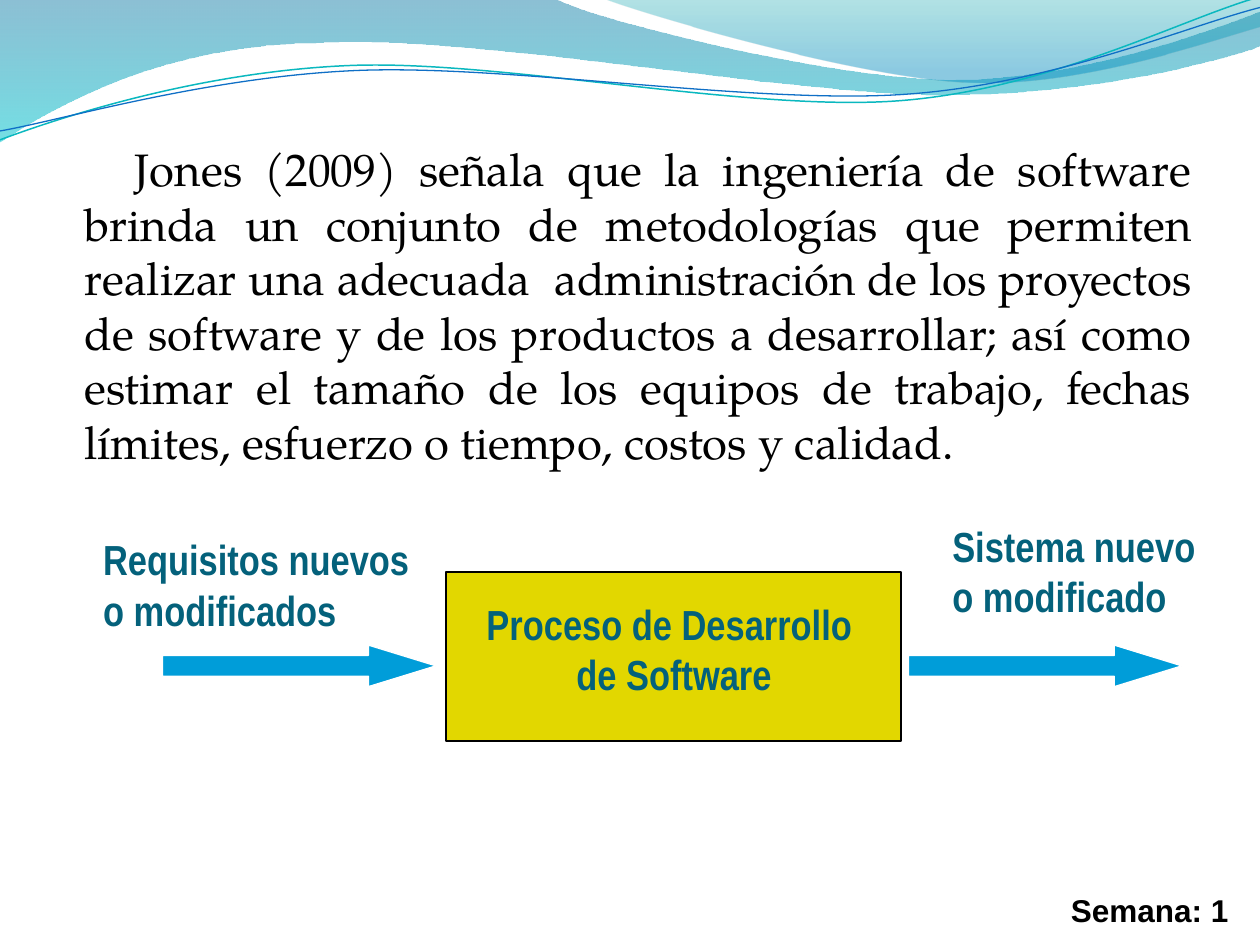
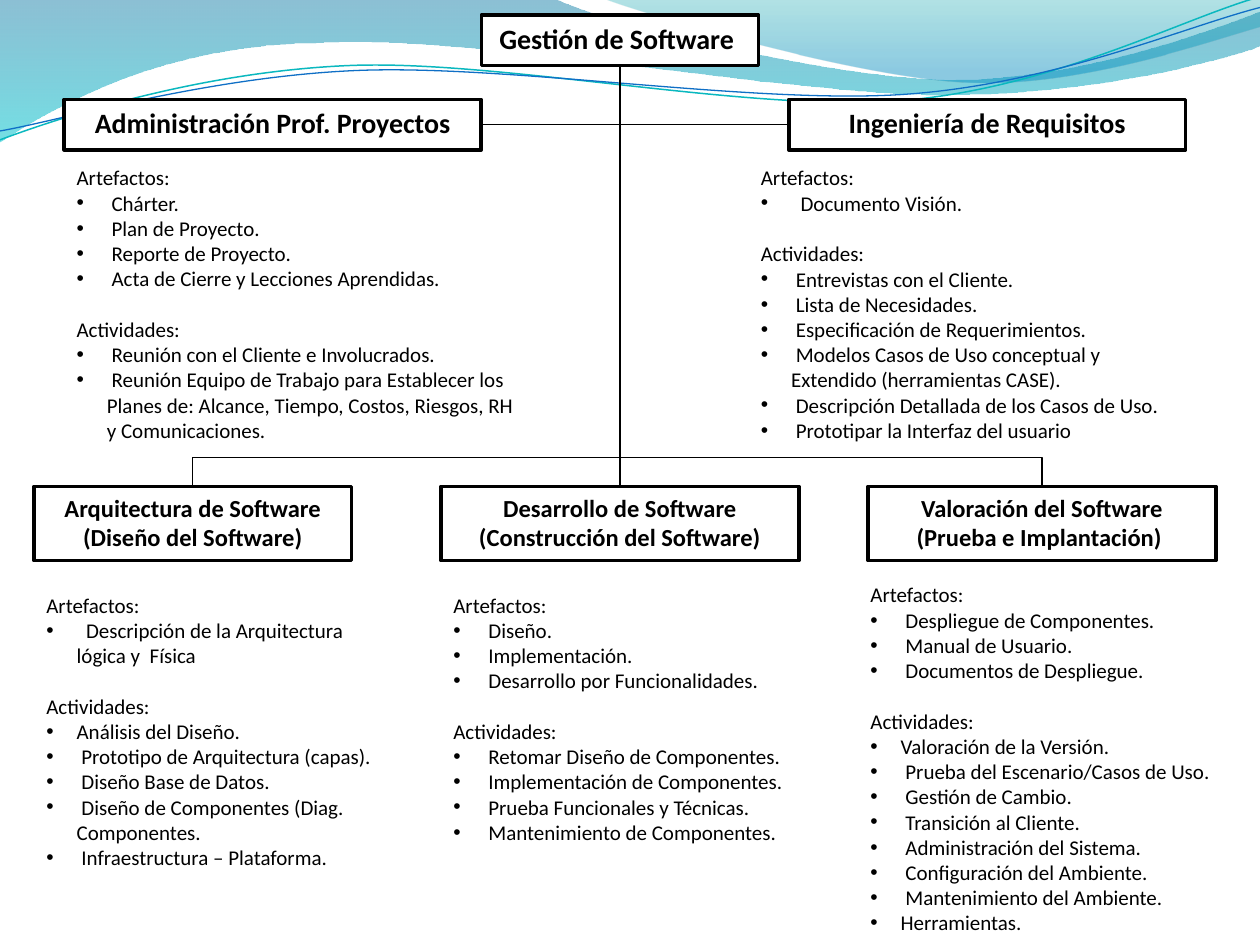
import math

import pptx
import pptx.util
import pptx.dml.color
import pptx.enum.shapes
import pptx.enum.text
import pptx.oxml.ns
from lxml import etree

Inches, Pt = pptx.util.Inches, pptx.util.Pt
RGB = pptx.dml.color.RGBColor
SHAPE = pptx.enum.shapes.MSO_SHAPE
CONNECTOR = pptx.enum.shapes.MSO_CONNECTOR
ALIGN = pptx.enum.text.PP_ALIGN
ANCHOR = pptx.enum.text.MSO_ANCHOR
NO_AUTOSIZE = pptx.enum.text.MSO_AUTO_SIZE.NONE
qn = pptx.oxml.ns.qn

BLACK, WHITE = RGB(0, 0, 0), RGB(255, 255, 255)
TEAL_TEXT = RGB(0x04, 0x61, 0x7B)
YELLOW = RGB(0xE2, 0xD7, 0x00)
ARROW_BLUE = RGB(0x00, 0x9D, 0xD9)
LINE_TEAL, LINE_BLUE = RGB(0x0A, 0xB8, 0xBF), RGB(0x0F, 0x6F, 0xC6)
WAVE_BLUE, WAVE_CYAN = RGB(0x00, 0x74, 0xA1), RGB(0x00, 0xC6, 0xCF)
CREST_GREEN, CREST_BLUE = RGB(0x00, 0xA1, 0xA9), RGB(0x00, 0x8B, 0xBF)

# Each wave: start point, then points (2 numbers) or Bézier curves (6 numbers).
# Bands have gradient stops (position, colour, opacity %).
BANDS = [
    ([(0, -0.01), (4.4, -0.01), (4.76, 0.17, 6.64, 0.63, 7.58, 0.63),
      (8.53, 0.63, 9.58, 0.26, 10, 0.09), (10.01, 0.36),
      (9.83, 0.44, 8.7, 0.76, 7.46, 0.75), (6.22, 0.75, 3.82, 0.28, 2.57, 0.34),
      (1.29, 0.35, 0.46, 0.83, -0.01, 1.13), (0, -0.01)],
     [(0, WAVE_BLUE, 45), (1, WAVE_CYAN, 55)]),
    ([(4.79, -0.01), (5.09, 0.11, 6.82, 0.62, 7.69, 0.65),
      (8.56, 0.69, 9.61, 0.32, 10, 0.21), (10, 0), (4.79, -0.01)],
     [(0, CREST_GREEN, 30), (0.8, CREST_BLUE, 45)]),
]
# Tilted lines: points as seen after the tilt, centre of the tilt, colour, width
TILT = -2.7
WAVE_LINES = [
    ([(0, 1.11), (0.48, 0.93, 1.58, 0.57, 2.77, 0.52),
      (3.95, 0.47, 5.93, 0.89, 7.13, 0.8), (8.33, 0.71, 9.38, 0.15, 9.98, -0.02)],
     (4.99, 0.58), LINE_TEAL, 0.85),
    ([(0, 1.04), (0.47, 0.96, 1.64, 0.61, 2.83, 0.56),
      (4.03, 0.51, 5.97, 0.83, 7.17, 0.75), (8.36, 0.67, 9.41, 0.21, 10, 0.06)],
     (5, 0.59), LINE_BLUE, 0.75),
]

QUOTE = ("Jones (2009) señala que la ingeniería de software brinda un conjunto de "
         "metodologías que permiten realizar una adecuada  administración de los proyectos "
         "de software y de los productos a desarrollar; así como estimar el tamaño de los "
         "equipos de trabajo, fechas límites, esfuerzo o tiempo, costos y calidad.")
WEEK = "Semana: 1"
PROCESS_BOX = (3.54, 4.54, 3.61, 1.34)
FLOW_LABELS = [
    ((0.72, 4.31, 2.64, 0.78), ALIGN.LEFT, ["Requisitos nuevos", "o modificados"]),
    ((7.46, 4.2, 2.13, 0.78), ALIGN.LEFT, ["Sistema nuevo", "o modificado"]),
    ((3.76, 4.82, 3.18, 0.78), ALIGN.CENTER, ["Proceso de Desarrollo ", "de Software"]),
]
ARROW_LEFTS = [1.29, 7.21]

ROOT = ("Gestión de Software ", (3.82, 0.12, 2.2, 0.4))
TOP_ROW = dict(top=0.79, height=0.4, size=16)
BOTTOM_ROW = dict(top=3.86, height=0.59, size=14)
BUS_RISE = 0.25
# Name, row, left and width of the box, list area, artefactos, actividades
AREAS = [
    ("Administración Prof. Proyectos", TOP_ROW, 0.51, 3.31, (0.51, 1.26, 3.74, 2.32),
     [" Chárter.", " Plan de Proyecto.", " Reporte de Proyecto.",
      " Acta de Cierre y Lecciones Aprendidas."],
     [" Reunión con el Cliente e Involucrados.",
      " Reunión Equipo de Trabajo para Establecer los Planes de: Alcance, Tiempo, "
      "Costos, Riesgos, RH y Comunicaciones."]),
    ("Ingeniería de Requisitos", TOP_ROW, 6.26, 3.15, (5.94, 1.26, 3.55, 2.3),
     ["  Documento Visión."],
     [" Entrevistas con el Cliente.", " Lista de Necesidades.",
      " Especificación de Requerimientos.",
      " Modelos Casos de Uso conceptual y Extendido (herramientas CASE).",
      " Descripción Detallada de los Casos de Uso.", " Prototipar la Interfaz del usuario"]),
    ("Arquitectura de Software (Diseño del Software)", BOTTOM_ROW, 0.27, 2.52,
     (0.27, 4.65, 2.84, 2.32),
     ["  Descripción de la Arquitectura  lógica y  Física"],
     ["Análisis del Diseño.", " Prototipo de Arquitectura (capas).", " Diseño Base de Datos.",
      " Diseño de Componentes (Diag. Componentes.", " Infraestructura – Plataforma."]),
    ("Desarrollo de Software (Construcción del Software)", BOTTOM_ROW, 3.5, 2.84,
     (3.5, 4.65, 2.99, 2.12),
     [" Diseño.", " Implementación.", " Desarrollo por Funcionalidades."],
     [" Retomar Diseño de Componentes.", " Implementación de Componentes.",
      " Prueba Funcionales y Técnicas.", " Mantenimiento de Componentes."]),
    ("Valoración del Software (Prueba e Implantación) ", BOTTOM_ROW, 6.89, 2.76,
     (6.81, 4.57, 2.91, 2.93),
     [" Despliegue de Componentes.", " Manual de Usuario.", " Documentos de Despliegue."],
     ["Valoración de la Versión.", " Prueba del Escenario/Casos de Uso.",
      " Gestión de Cambio.", " Transición al Cliente.", " Administración del Sistema.",
      " Configuración del Ambiente.", " Mantenimiento del Ambiente.", "Herramientas."]),
]


def inches(values):
    return [Inches(v) for v in values]


def turn(point, centre, degrees):
    """Turn a point clockwise about a centre."""
    cos, sin = math.cos(math.radians(degrees)), math.sin(math.radians(degrees))
    dx, dy = point[0] - centre[0], point[1] - centre[1]
    return centre[0] + dx * cos - dy * sin, centre[1] + dx * sin + dy * cos


def add_wave(s, wave, close, centre=(0, 0), tilt=0):
    """Draw all points as segments, then join each group of three into a curve."""
    points = [part[i:i + 2] for part in wave for i in range(0, len(part), 2)]
    points = [inches(turn(p, centre, -tilt)) for p in points]
    builder = s.shapes.build_freeform(*points[0])
    builder.add_line_segments(points[1:], close=close)
    sp = builder.convert_to_shape()
    segments = iter(list(sp.element.iter(qn("a:lnTo"))))
    for part in wave[1:]:
        segment = next(segments)
        if len(part) == 6:
            curve = etree.Element(qn("a:cubicBezTo"))
            segment.addprevious(curve)
            for piece in (segment, next(segments), next(segments)):
                curve.append(piece[0])
                piece.getparent().remove(piece)
    sp.rotation = tilt
    sp.shadow.inherit = False
    return sp


def decorate_master(prs, s):
    """Draw the waves on a slide, then move them behind everything in the master."""
    waves = []
    for wave, stops in BANDS:
        sp = add_wave(s, wave, True)
        sp.line.fill.background()
        sp.fill.gradient()
        sp.fill.gradient_angle = 270
        for stop, (position, color, _) in zip(sp.fill.gradient_stops, stops):
            stop.position = position
            stop.color.rgb = color
        for clr, (_, _, opacity) in zip(sp.element.iter(qn("a:srgbClr")), stops):
            etree.SubElement(clr, qn("a:alpha")).set("val", str(opacity * 1000))
        waves.append(sp)
    for wave, centre, color, width in WAVE_LINES:
        sp = add_wave(s, wave, False, centre, TILT)
        sp.fill.background()
        sp.line.color.rgb = color
        sp.line.width = Pt(width)
        waves.append(sp)
    tree = prs.slide_master.element.cSld.spTree
    for i, sp in enumerate(waves):
        sp.element.nvSpPr.cNvPr.set("id", str(101 + i))
        tree.insert(2 + i, sp.element)


def style(p, font, size, color=BLACK, bold=False, align=None):
    p.alignment = align
    for r in p.runs:
        r.font.name, r.font.size, r.font.bold = font, Pt(size), bold
        r.font.color.rgb = color


def indent(p, margin, first, bullet=None):
    pPr = p._p.get_or_add_pPr()
    pPr.set("marL", str(Inches(margin)))
    pPr.set("indent", str(Inches(first)))
    if bullet:
        etree.SubElement(pPr, qn("a:buFont")).set("typeface", "Arial")
        etree.SubElement(pPr, qn("a:buChar")).set("char", bullet)
    else:
        etree.SubElement(pPr, qn("a:buNone"))


def place(sp, box):
    sp.left, sp.top, sp.width, sp.height = inches(box)


def paint(sp, fill, line, width):
    sp.fill.solid()
    sp.fill.fore_color.rgb = fill
    sp.line.color.rgb = line
    sp.line.width = Pt(width)


def add_block(s, shape, box, fill, line, width):
    sp = s.shapes.add_shape(shape, *inches(box))
    paint(sp, fill, line, width)
    sp.shadow.inherit = False
    return sp


def write_heading(sp, text, size):
    tf = sp.text_frame
    tf.word_wrap, tf.vertical_anchor, tf.auto_size = True, ANCHOR.TOP, NO_AUTOSIZE
    tf.text = text
    style(tf.paragraphs[0], "Calibri", size, bold=True, align=ALIGN.CENTER)


def add_list(s, box, artefacts, activities):
    tf = s.shapes.add_textbox(*inches(box)).text_frame
    tf.word_wrap = True
    tf.text = "\n".join(["Artefactos:", *artefacts, "Actividades:", *activities])
    headings = (0, len(artefacts) + 1)
    for i, p in enumerate(tf.paragraphs):
        style(p, "Calibri", 12)
        if i not in headings:
            indent(p, 0.24, -0.24, "•")
        elif i:
            p.space_before = Pt(14.6)


def join(s, kind, begin_to, end_to):
    """Connect two (shape, side) pairs."""
    cxn = s.shapes.add_connector(kind, 0, 0, 0, 0)
    cxn.begin_connect(*begin_to)
    cxn.end_connect(*end_to)
    cxn.line.color.rgb = BLACK
    cxn.line.width = Pt(0.75)
    etree.SubElement(cxn.element.spPr, qn("a:effectLst"))
    return cxn


def raise_bus(cxn, rise):
    """Make a level elbow connector run above both of its ends."""
    span, middle, level = cxn.width, cxn.left + cxn.width // 2, cxn.top
    depth = Pt(0.125)
    cxn.left, cxn.top = middle - depth // 2, level - span // 2
    cxn.width, cxn.height = depth, span
    xfrm = cxn.element.spPr.find(qn("a:xfrm"))
    for name, value in (("rot", "5400000"), ("flipH", "1"), ("flipV", "1")):
        xfrm.set(name, value)
    guides = cxn.element.spPr.find(qn("a:prstGeom")).find(qn("a:avLst"))
    guide = etree.SubElement(guides, qn("a:gd"))
    guide.set("name", "adj1")
    guide.set("fmla", f"val {round(Inches(rise) / depth * 100000)}")


def build_process_slide(prs):
    s = prs.slides.add_slide(prs.slide_layouts[1])
    decorate_master(prs, s)
    title = s.shapes.title.element
    title.getparent().remove(title)

    body = s.placeholders[1]
    place(body, (0.27, 1.07, 9.3, 5.67))
    tf = body.text_frame
    tf.auto_size = NO_AUTOSIZE
    tf.text = QUOTE
    p = tf.paragraphs[0]
    style(p, "TeX Gyre Pagella", 26, align=ALIGN.JUSTIFY)
    p.space_before = Pt(5.2)
    indent(p, 0.3, 0.4)

    week = s.shapes.add_textbox(*inches((8.34, 7.02, 1.57, 0.4)))
    week.text_frame.word_wrap = True
    week.text_frame.text = WEEK
    style(week.text_frame.paragraphs[0], "Arial", 18, bold=True, align=ALIGN.CENTER)

    add_block(s, SHAPE.RECTANGLE, PROCESS_BOX, YELLOW, BLACK, 1)
    for box, align, lines in FLOW_LABELS:
        tf = s.shapes.add_textbox(*inches(box)).text_frame
        tf.word_wrap = False
        tf.text = "\n".join(lines)
        for p in tf.paragraphs:
            style(p, "Arial Narrow", 24, TEAL_TEXT, True, align)
            p.line_spacing, p.space_before = Pt(20), Pt(9)
    for left in ARROW_LEFTS:
        arrow = add_block(s, SHAPE.RIGHT_ARROW, (left, 5.12, 2.17, 0.33), ARROW_BLUE, WHITE, 0.75)
        arrow.adjustments[1] = 1.625


def build_management_slide(prs):
    s = prs.slides.add_slide(prs.slide_layouts[5])
    root = s.shapes.title
    place(root, ROOT[1])
    paint(root, WHITE, BLACK, 2)
    write_heading(root, ROOT[0], 16)

    boxes = []
    for name, row, left, width, list_box, artefacts, activities in AREAS:
        sp = add_block(s, SHAPE.RECTANGLE, (left, row["top"], width, row["height"]),
                       WHITE, BLACK, 2)
        write_heading(sp, name, row["size"])
        add_list(s, list_box, artefacts, activities)
        boxes.append(sp)

    projects, requirements, design, development, testing = boxes
    join(s, CONNECTOR.STRAIGHT, (root, 2), (development, 0))
    join(s, CONNECTOR.STRAIGHT, (projects, 3), (requirements, 1))
    raise_bus(join(s, CONNECTOR.ELBOW, (design, 0), (testing, 0)), BUS_RISE)


def main():
    prs = pptx.Presentation()
    prs.slide_width, prs.slide_height = Inches(10), Inches(7.5)
    build_process_slide(prs)
    build_management_slide(prs)
    prs.save("out.pptx")


if __name__ == "__main__":
    main()
